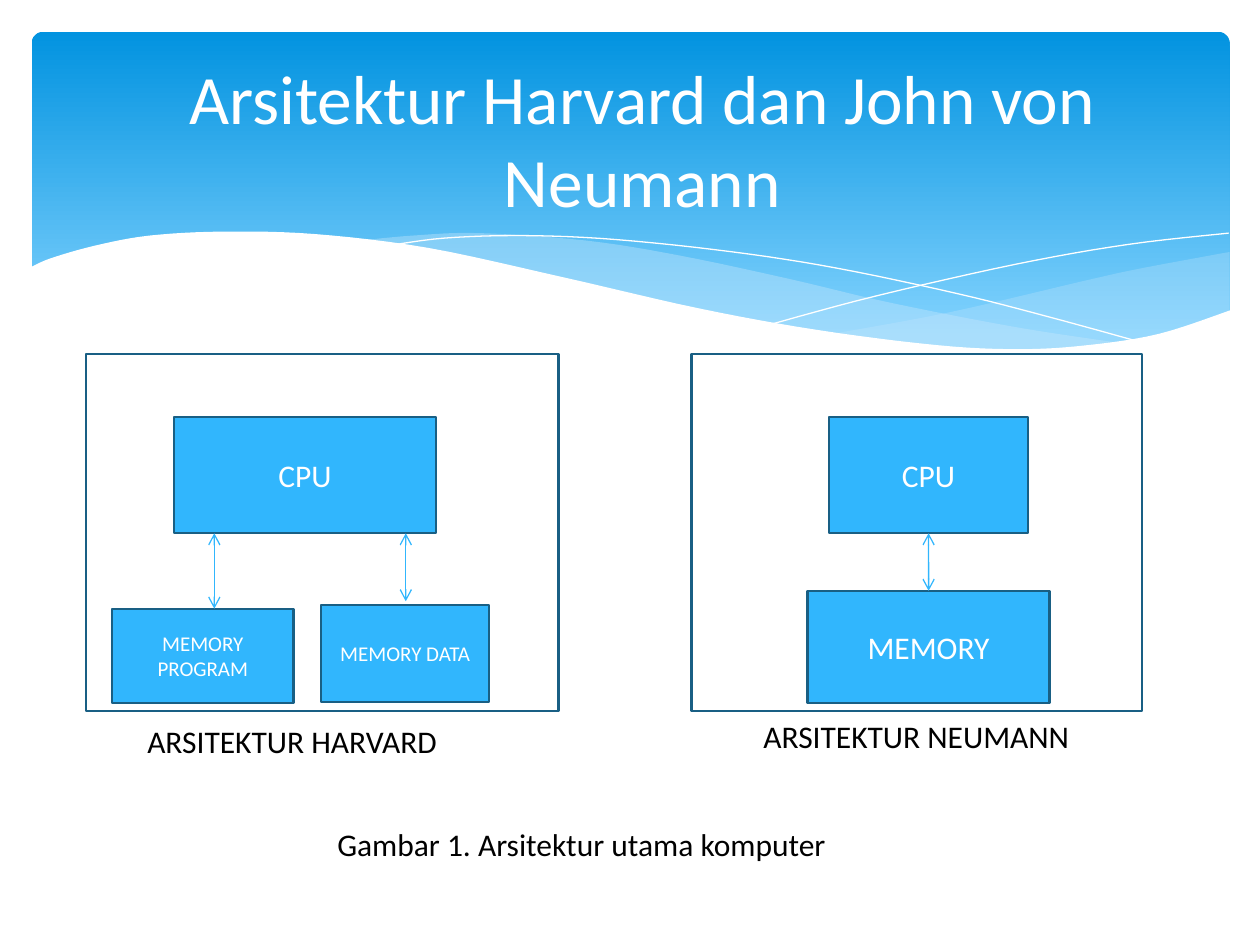
from lxml.etree import SubElement
from pptx import Presentation
from pptx.dml.color import RGBColor
from pptx.enum.shapes import MSO_CONNECTOR, MSO_SHAPE
from pptx.enum.text import MSO_ANCHOR, MSO_AUTO_SIZE, PP_ALIGN
from pptx.oxml.ns import qn
from pptx.util import Cm, Pt

BLUE, EDGE, WHITE, BLACK, MIST = "31B6FD", "195F84", "FFFFFF", "000000", "C6E7FC"
BOTTOM, TOP = 2, 0

RIGHT_WAVE = [
    [(24.79, 5.08), (23.01, 5.41), (21.87, 5.66), (19.13, 6.3), (16.79, 6.73)],
    [(16.79, 6.73), (18.59, 6.96), (20.4, 7.06), (21.92, 6.99), (23.39, 6.73), (24.79, 6.27)],
]
CENTRE_WAVE = [
    [(22.68, 6.93), (20.5, 6.6), (17.93, 6.1), (15.98, 5.64), (13.74, 5.16),
     (11.81, 4.85), (9.65, 4.7), (8.33, 4.75), (7.26, 4.85)],
    [(7.26, 4.85), (9.19, 5.16), (11.4, 5.64), (14.38, 6.3), (16.89, 6.76),
     (19, 7.01), (20.78, 7.06), (22.68, 6.93)],
]
FALLING_LINE = [
    [(7.85, 4.95), (8.97, 4.8), (10.57, 4.75), (12.42, 4.83), (14.78, 5.08),
     (16.89, 5.41), (19.3, 5.92), (21.11, 6.38), (23.04, 6.91)],
]
RISING_LINE = [[(15.57, 6.53), (17.65, 5.97), (20.47, 5.33), (22.73, 4.93), (24.77, 4.7)]]
WHITE_WAVE = [
    [(24.82, 6.25), (23.37, 6.73), (21.92, 6.96), (20.55, 7.04), (18.9, 6.96),
     (16.46, 6.65), (14.1, 6.22), (11.35, 5.59), (8.64, 5), (6.35, 4.72),
     (4.5, 4.67), (3.02, 4.75), (1.93, 4.95), (1.02, 5.21), (0.58, 5.41)],
    [(0.58, 8.36), (24.82, 8.36)],
]


def rgb(value):
    return RGBColor.from_string(value)


def paint(sp, fill=None, line=None, width=1.25, alpha=None):
    sp.shadow.inherit = False
    if fill:
        sp.fill.solid()
        sp.fill.fore_color.rgb = rgb(fill)
        if alpha:
            color = sp.fill._xPr.find(".//" + qn("a:srgbClr"))
            SubElement(color, qn("a:alpha"), val=str(alpha * 1000))
    else:
        sp.fill.background()
    if line:
        sp.line.color.rgb = rgb(line)
        sp.line.width = Pt(width)
    else:
        sp.line.fill.background()


def write(sp, text, size, color, align=PP_ALIGN.CENTER):
    p = sp.text_frame.paragraphs[0]
    p.alignment = align
    r = p.add_run()
    r.text = text
    r.font.color.rgb = rgb(color)
    for name, value in {"size": Pt(size), "name": "Calibri"}.items():
        setattr(r.font, name, value)


def smooth(knots, steps=6):
    """Points of a Catmull-Rom curve through the knots."""
    ends = [knots[0], *knots, knots[-1]]
    points = [knots[0]]
    for a, b, c, d in zip(ends, ends[1:], ends[2:], ends[3:]):
        for t in (i / steps for i in range(1, steps + 1)):
            points.append(tuple(
                (2 * q + (m - k) * t + (2 * k - 5 * q + 4 * m - n) * t ** 2
                 + (3 * q - k - 3 * m + n) * t ** 3) / 2
                for k, q, m, n in zip(a, b, c, d)))
    return points


def add_curve(s, x, y, edges, closed, **style):
    points = [(Cm(x + px), Cm(y + py)) for edge in edges for px, py in smooth(edge)]
    builder = s.shapes.build_freeform(*points[0], scale=1.0)
    builder.add_line_segments(points[1:], close=closed)
    paint(builder.convert_to_shape(), **style)


def add_header(s, x, y, w, text):
    banner = s.shapes.add_shape(
        MSO_SHAPE.ROUNDED_RECTANGLE, Cm(x + 0.64), Cm(y + 0.64), Cm(w - 1.25), Cm(6.86))
    banner.adjustments[0] = 0.034
    paint(banner)
    banner.fill.gradient()
    banner.fill.gradient_angle = 270
    for stop, position, color in zip(banner.fill.gradient_stops, (0, 0.9), ("0293E0", "83D3FE")):
        stop.position = position
        stop.color.rgb = rgb(color)

    add_curve(s, x, y, RIGHT_WAVE, True, fill=MIST, alpha=29)
    add_curve(s, x, y, CENTRE_WAVE, True, fill=MIST, alpha=40)
    for edges in (FALLING_LINE, RISING_LINE):
        add_curve(s, x, y, edges, False, line=WHITE, width=0)
    add_curve(s, x, y, WHITE_WAVE, True, fill=WHITE)

    title = s.shapes.title
    s.shapes._spTree.append(title._element)  # in front of the waves
    box = {"left": x + 1.52, "top": y + 1.27, "width": w - 2.54, "height": 3.05}
    for name, value in box.items():
        setattr(title, name, Cm(value))
    title.text_frame.auto_size = MSO_AUTO_SIZE.NONE
    title.text_frame.vertical_anchor = MSO_ANCHOR.MIDDLE
    write(title, text, 39.6, WHITE)


def add_box(s, x, y, w, h, text=None, size=18):
    sp = s.shapes.add_shape(MSO_SHAPE.RECTANGLE, Cm(x), Cm(y), Cm(w), Cm(h))
    paint(sp, BLUE if text else None, EDGE)
    if text:
        sp.text_frame.vertical_anchor = MSO_ANCHOR.MIDDLE
        write(sp, text, size, WHITE)
    return sp


def add_caption(s, x, y, w, text):
    tb = s.shapes.add_textbox(Cm(x), Cm(y), Cm(w), Cm(1.02))
    tb.text_frame.word_wrap = False
    tb.text_frame.auto_size = MSO_AUTO_SIZE.SHAPE_TO_FIT_TEXT
    write(tb, text, 18, BLACK, PP_ALIGN.LEFT)


def add_double_arrow(s, x, top, bottom):
    cx = s.shapes.add_connector(MSO_CONNECTOR.STRAIGHT, Cm(x), Cm(top), Cm(x), Cm(bottom))
    cx.line.color.rgb = rgb(BLUE)
    cx.line.width = Pt(0.75)
    for end in ("a:headEnd", "a:tailEnd"):
        SubElement(cx.line._get_or_add_ln(), qn(end), type="arrow")
    SubElement(cx._element.spPr, qn("a:effectLst"))
    return cx


def add_harvard(s, x, y, w, h):
    add_box(s, x, y, w, h)
    add_box(s, x + 1.78, y + 1.27, 5.28, 2.34, "CPU")
    add_box(s, x + 0.53, y + 5.13, 3.66, 1.9, "MEMORY PROGRAM", 12)
    add_box(s, x + 4.75, y + 5.05, 3.38, 1.96, "MEMORY DATA", 12)
    add_double_arrow(s, x + 2.59, y + 3.61, y + 5.13)
    add_double_arrow(s, x + 6.45, y + 3.61, y + 4.98)
    add_caption(s, x + 0.99, y + 7.29, 6.88, "ARSITEKTUR HARVARD")


def add_neumann(s, x, y, w, h):
    add_box(s, x, y, w, h)
    cpu = add_box(s, x + 2.77, y + 1.27, 4.02, 2.34, "CPU")
    memory = add_box(s, x + 2.34, y + 4.77, 4.88, 2.26, "MEMORY")
    arrow = add_double_arrow(s, x + 4.78, y + 3.61, y + 4.77)
    arrow.begin_connect(cpu, BOTTOM)
    arrow.end_connect(memory, TOP)
    add_caption(s, x + 1.2, y + 7.19, 7.14, "ARSITEKTUR NEUMANN")


def main():
    prs = Presentation()
    prs.slide_width, prs.slide_height = Cm(25.4), Cm(19.05)
    s = prs.slides.add_slide(prs.slide_layouts[5])
    add_header(s, 0, 0, 25.4, "Arsitektur Harvard dan John von Neumann")
    add_harvard(s, 1.73, 7.14, 9.53, 7.19)
    add_neumann(s, 13.94, 7.14, 9.09, 7.19)
    add_caption(s, 6.55, 16.51, 10.69, "Gambar 1. Arsitektur utama komputer")
    prs.save("out.pptx")


if __name__ == "__main__":
    main()
